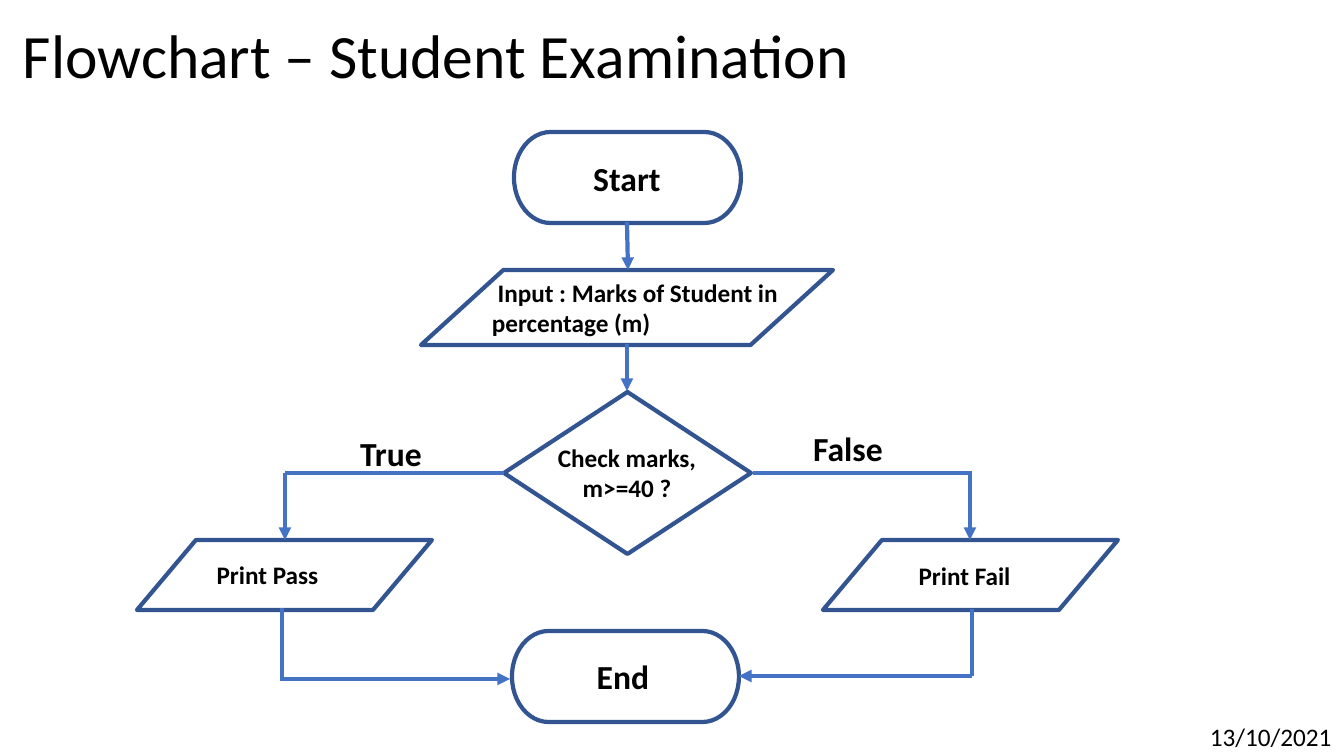
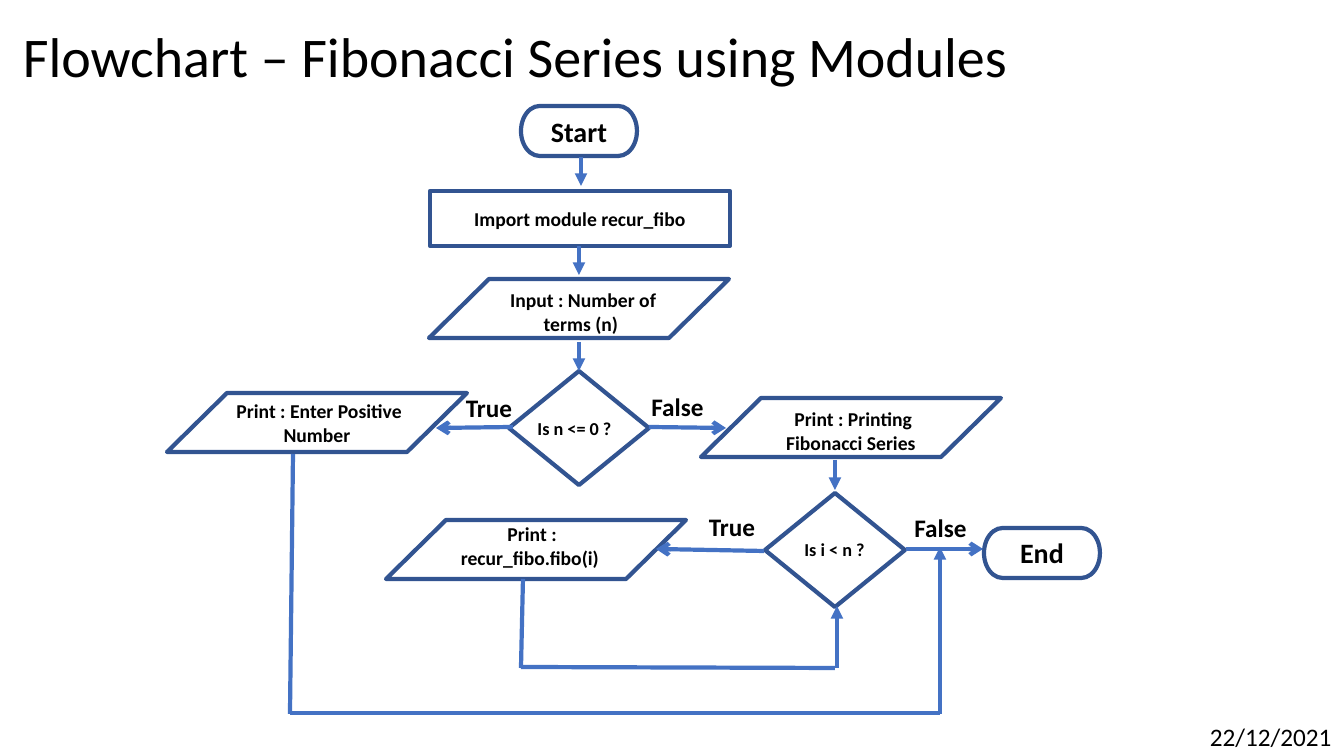
from pptx import Presentation
from pptx.dml.color import RGBColor
from pptx.enum.shapes import MSO_CONNECTOR, MSO_SHAPE as Shape
from pptx.enum.text import MSO_ANCHOR, MSO_AUTO_SIZE, PP_ALIGN as Align
from pptx.oxml.ns import qn
from pptx.util import Emu, Pt
from lxml.etree import SubElement

SCALE = 914400 / 100.8
FONT = "Calibri"
INK, OUTLINE, FLOW = "000000", "325491", "4472C4"
STROKE = 3
TITLE_BOX = (13, -14, 1159, 146)
DATE_BOX = (1200, 716, 143, 40)

TERMINATOR = Shape.FLOWCHART_TERMINATOR
PROCESS = Shape.FLOWCHART_PROCESS
DATA = Shape.FLOWCHART_DATA
DECISION = Shape.FLOWCHART_DECISION

EXAMINATION = {
    "title": ("Flowchart – Student Examination", 44),
    "date": "13/10/2021",
    "sizes": {TERMINATOR: (227, 91), DATA: (295, 70), DECISION: (247, 162)},
    "nodes": [
        (TERMINATOR, 514, 132),
        (DATA, 421, 270, 412, 75),
        (DECISION, 504, 392),
        (DATA, 137, 540),
        (DATA, 823, 540),
        (TERMINATOR, 512, 631),
    ],
    "labels": [
        ("Start", (530, 153, 194, 50), 24, Align.CENTER),
        (" Input : Marks of Student in percentage (m)", (482, 272, 362, 72), 18, Align.LEFT),
        ("Check marks,\nm>=40 ?", (488, 437, 278, 72), 18, Align.CENTER),
        ("True", (294, 428, 194, 50), 24, Align.CENTER),
        ("False", (751, 423, 194, 50), 24, Align.CENTER),
        (" Print Pass", (201, 554, 157, 40), 18, Align.LEFT),
        (" Print Fail", (903, 555, 157, 40), 18, Align.LEFT),
        ("End", (526, 651, 194, 50), 24, Align.CENTER),
    ],
    "flows": [
        (627, 222, 628, 270, "triangle"),
        (627, 344, 627, 391, "triangle"),
        (504, 473, 285, 473, None),
        (285, 473, 285, 540, "triangle"),
        (753, 473, 972, 473, None),
        (970, 474, 970, 540, "triangle"),
        (282, 608, 282, 679, None),
        (280, 679, 510, 679, "triangle"),
        (972, 609, 972, 676, None),
        (972, 676, 739, 676, "triangle"),
    ],
}

FIBONACCI = {
    "title": ("Flowchart – Fibonacci Series using Modules", 40),
    "date": "22/12/2021",
    "sizes": {TERMINATOR: (116, 50), PROCESS: (300, 55), DATA: (300, 59), DECISION: (140, 114)},
    "nodes": [
        (TERMINATOR, 521, 106),
        (PROCESS, 430, 191),
        (DATA, 429, 279),
        (DECISION, 509, 371),
        (DATA, 167, 393),
        (DATA, 701, 398),
        (DECISION, 765, 493),
        (DATA, 386, 520),
        (TERMINATOR, 984, 528),
    ],
    "labels": [
        ("Start", (534, 110, 90, 44), 20, Align.CENTER),
        ("Import module recur_fibo", (459, 202, 242, 34), 14, Align.CENTER),
        (" Input : Number of terms (n)", (475, 283, 212, 57), 14, Align.CENTER),
        ("Is n <= 0 ?", (481, 412, 187, 32), 13, Align.CENTER),
        ("True", (454, 387, 70, 40), 18, Align.CENTER),
        ("False", (635, 386, 85, 40), 18, Align.CENTER),
        (" Print : Enter Positive Number", (211, 394, 212, 57), 14, Align.CENTER),
        (" Print : Printing Fibonacci Series", (745, 402, 212, 57), 14, Align.CENTER),
        ("Is i < n ?", (741, 533, 187, 32), 13, Align.CENTER),
        ("True", (697, 506, 70, 40), 18, Align.CENTER),
        ("False", (898, 507, 85, 40), 18, Align.CENTER),
        (" Print : recur_fibo.fibo(i)", (424, 517, 212, 57), 14, Align.CENTER),
        ("End", (997, 531, 90, 44), 20, Align.CENTER),
    ],
    "flows": [
        (581, 157, 581, 186, "triangle"),
        (579, 246, 579, 275, "triangle"),
        (579, 342, 579, 371, "triangle"),
        (513, 427, 436, 428, "arrow"),
        (649, 427, 726, 428, "arrow"),
        (835, 460, 835, 490, "triangle"),
        (764, 551, 656, 549, "arrow"),
        (906, 549, 983, 549, "arrow"),
        (523, 579, 521, 668, None),
        (521, 667, 835, 668, None),
        (837, 668, 837, 606, "triangle"),
        (293, 454, 290, 714, None),
        (290, 713, 940, 713, None),
        (940, 714, 940, 547, "triangle"),
    ],
}


def emu(*pixels):
    return [Emu(round(pixel * SCALE)) for pixel in pixels]


def color(value):
    return RGBColor.from_string(value)


def set_stroke(line, value):
    line.color.rgb = color(value)
    line.width = Pt(STROKE)


def add_text(page, text, bounds, size, align=Align.LEFT, bold=False, wrap=True):
    box = page.shapes.add_textbox(*emu(*bounds))
    frame = box.text_frame
    frame.text = text
    frame.word_wrap = wrap
    frame.auto_size = MSO_AUTO_SIZE.SHAPE_TO_FIT_TEXT
    for para in frame.paragraphs:
        para.alignment = align
        for span in para.runs:
            span.font.name = FONT
            span.font.size = Pt(size)
            span.font.bold = bold
            span.font.color.rgb = color(INK)
    return frame


def add_title(page, text, size):
    frame = add_text(page, text, TITLE_BOX, size)
    frame.auto_size = MSO_AUTO_SIZE.NONE
    frame.vertical_anchor = MSO_ANCHOR.MIDDLE
    frame.paragraphs[0].line_spacing = 0.9


def add_node(page, kind, left, top, width, height):
    node = page.shapes.add_shape(kind, *emu(left, top, width, height))
    node.shadow.inherit = False
    node.fill.background()
    set_stroke(node.line, OUTLINE)


def add_flow(page, points, arrowhead):
    flow = page.shapes.add_connector(MSO_CONNECTOR.STRAIGHT, *emu(*points))
    set_stroke(flow.line, FLOW)
    properties = flow._element.spPr
    if arrowhead:
        SubElement(properties.find(qn("a:ln")), qn("a:tailEnd"), type=arrowhead)
    SubElement(properties, qn("a:effectLst"))


def add_flowchart(deck, chart):
    page = deck.slides.add_slide(deck.slide_layouts[6])
    add_title(page, *chart["title"])
    for kind, left, top, *size in chart["nodes"]:
        add_node(page, kind, left, top, *(size or chart["sizes"][kind]))
    for *points, arrowhead in chart["flows"]:
        add_flow(page, points, arrowhead)
    for text, bounds, size, align in chart["labels"]:
        add_text(page, text, bounds, size, align, bold=True)
    add_text(page, chart["date"], DATE_BOX, 18, wrap=False)


deck = Presentation()
deck.slide_width, deck.slide_height = emu(1344, 756)
for chart in (EXAMINATION, FIBONACCI):
    add_flowchart(deck, chart)
deck.save("out.pptx")
